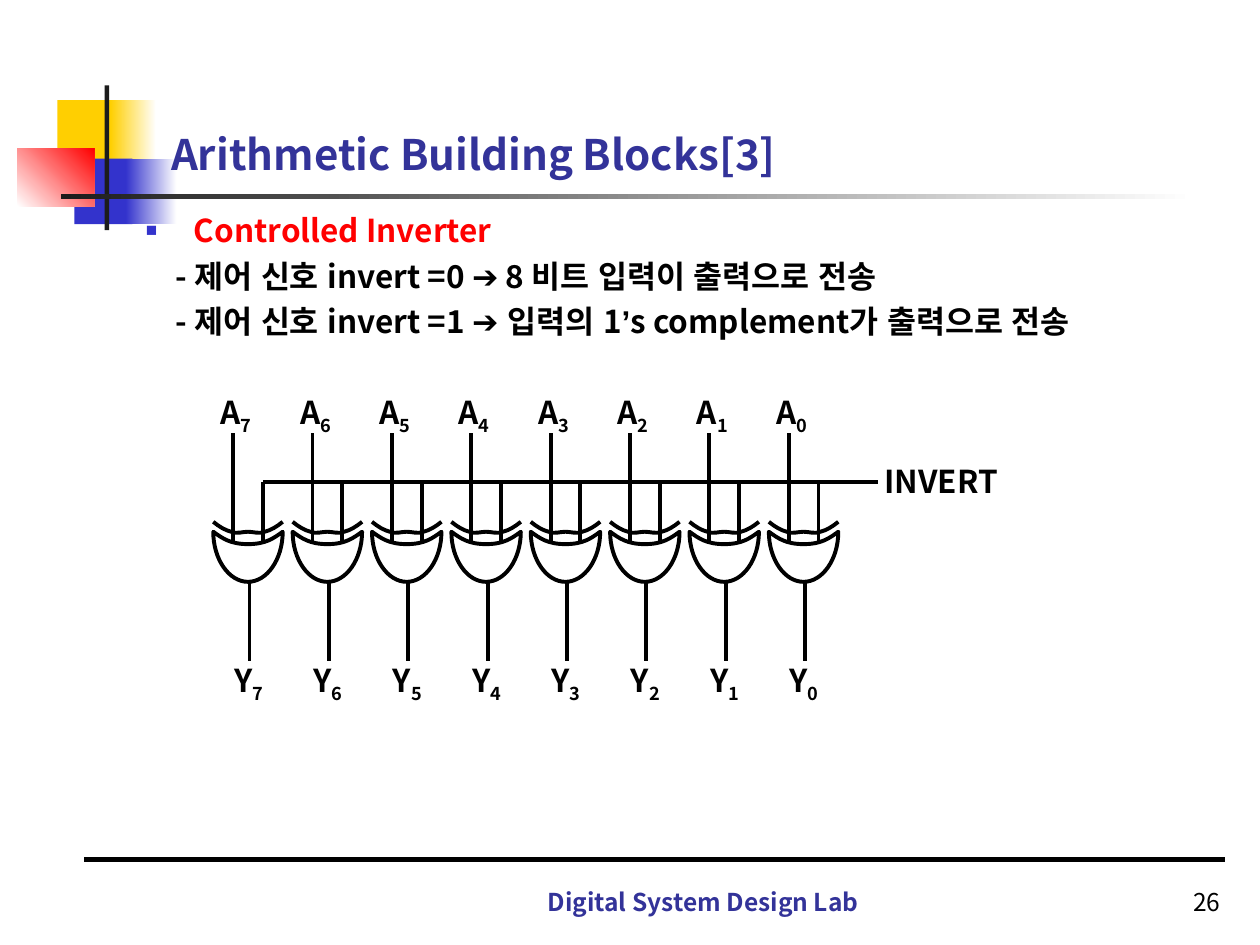
from lxml import etree
from pptx import Presentation
from pptx.dml.color import RGBColor
from pptx.enum.shapes import MSO_CONNECTOR, MSO_SHAPE
from pptx.enum.text import MSO_ANCHOR, PP_ALIGN
from pptx.oxml.ns import qn
from pptx.util import Cm, Pt

LINE, RECT = MSO_CONNECTOR.STRAIGHT, MSO_SHAPE.RECTANGLE
TOP, BOTTOM = MSO_ANCHOR.TOP, MSO_ANCHOR.BOTTOM
LEFT, MID, RIGHT = PP_ALIGN.LEFT, PP_ALIGN.CENTER, PP_ALIGN.RIGHT
FONT, SIGN = "Noto Sans CJK KR", "Arial"
HUES = {
    "gold": "FFCF01", "blue": "3333CC", "red": "FF0000", "dark": "1C1C1C",
    "navy": "333399", "black": "000000", "white": "FFFFFF",
}
BITS, PITCH, AXIS = 8, 1.6, 5
BUS = 9.72
ARC = [
    (0.7, 10.52), (0.58, 10.62), (0.46, 10.69), (0.34, 10.72),
    (0.23, 10.77), (0.11, 10.72), (0, 10.72),
    (-0.11, 10.72), (-0.23, 10.77), (-0.34, 10.72),
    (-0.46, 10.69), (-0.58, 10.62), (-0.7, 10.52),
]
BOWL = [
    (0.7, 10.72), (0.52, 10.85), (0.36, 10.97), (0, 10.97),
    (-0.36, 10.97), (-0.52, 10.85), (-0.7, 10.72),
    (-0.7, 11.28), (-0.38, 11.73), (0, 11.73),
    (0.38, 11.73), (0.7, 11.28), (0.7, 10.72),
]
NOTES = [
    [("- 제어 신호 invert =0 ", FONT), ("➔", SIGN),
     (" 8 비트 입력이 출력으로 전송", FONT)],
    [("- 제어 신호 invert =1 ", FONT), ("➔ ", SIGN), ("입력의 1", FONT),
     ("’", SIGN), ("s complement가 출력으로 전송", FONT)],
]


def hue(name):
    """Return the named colour."""
    return RGBColor.from_string(HUES[name])


def style(para, size, tint="black", bold=True, east=FONT):
    """Set the Latin and East Asian font of a paragraph."""
    font = para.font
    font.size, font.bold, font.name = Pt(size), bold, FONT
    font.color.rgb = hue(tint)
    props = para._p.pPr.find(qn("a:defRPr"))
    etree.SubElement(props, qn("a:ea")).set("typeface", east)


def frame(slide, x, y, wide, high, anchor=TOP, wrap=True):
    """Add a text box and return its text frame."""
    text = slide.shapes.add_textbox(Cm(x), Cm(y), Cm(wide), Cm(high)).text_frame
    text.word_wrap, text.vertical_anchor = wrap, anchor
    return text


def title(slide, text, box, size, align, tint="navy", bold=True):
    """Add one line of text that stands on the bottom of its box."""
    para = frame(slide, *box, anchor=BOTTOM).paragraphs[0]
    para.text, para.alignment = text, align
    style(para, size, tint, bold)


def label(slide, text, x, y, wide=0.66, sub=""):
    """Add a signal name with an optional subscript."""
    area = frame(slide, x, y, wide, 0.86, wrap=False)
    area.margin_left = area.margin_right = 0
    area.margin_top = area.margin_bottom = 0
    para = area.paragraphs[0]
    para.add_run().text = text
    if sub:
        run = para.add_run()
        run.text = sub
        run._r.get_or_add_rPr().set("baseline", "-25000")
    style(para, 18)


def block(slide, x, y, wide, high, *tints, angle=0):
    """Add a bare rectangle, plain or with a gradient of two colours."""
    shape = slide.shapes.add_shape(RECT, Cm(x), Cm(y), Cm(wide), Cm(high))
    shape.shadow.inherit = False
    shape.line.fill.background()
    if len(tints) == 1:
        shape.fill.solid()
        shape.fill.fore_color.rgb = hue(tints[0])
        return
    shape.fill.gradient()
    shape.fill.gradient_angle = angle
    for stop, tint in zip(shape.fill.gradient_stops, tints):
        stop.color.rgb = hue(tint)


def wire(slide, x1, y1, x2, y2, width=2.25):
    """Add a straight black line."""
    line = slide.shapes.add_connector(LINE, Cm(x1), Cm(y1), Cm(x2), Cm(y2))
    line.line.width = Pt(width)
    line.line.color.rgb = hue("black")
    etree.SubElement(line._element.spPr, qn("a:effectLst"))


def bend(shape):
    """Turn each three straight segments of an outline into one cubic curve."""
    segs = list(shape._element.iter(qn("a:lnTo")))
    for i in range(0, len(segs), 3):
        cubic = etree.Element(qn("a:cubicBezTo"))
        segs[i].addprevious(cubic)
        for seg in segs[i:i + 3]:
            cubic.append(seg[0])
            seg.getparent().remove(seg)


def curve(group, knots, mid, closed):
    """Add a curved outline, white inside when closed."""
    spots = [(Cm(mid + x), Cm(y)) for x, y in knots]
    pen = group.shapes.build_freeform(*spots[0])
    pen.add_line_segments(spots[1:], close=closed)
    shape = pen.convert_to_shape()
    bend(shape)
    shape.shadow.inherit = False
    shape.line.width = Pt(2.25)
    shape.line.color.rgb = hue("black")
    if closed:
        shape.fill.solid()
        shape.fill.fore_color.rgb = hue("white")
    else:
        shape.fill.background()


def gate(slide, mid, bit):
    """Add one XOR gate with its wires and signal names."""
    label(slide, "A", mid - 0.55, 7.92, sub=bit)
    label(slide, "Y", mid - 0.28, 13.32, sub=bit)
    wire(slide, mid - 0.3, 8.73, mid - 0.3, 11.12)
    wire(slide, mid + 0.03, 11.73, mid + 0.03, 13.33)
    wire(slide, mid + 0.3, BUS, mid + 0.3, 11.12)
    group = slide.shapes.add_group_shape()
    curve(group, ARC, mid, False)
    curve(group, BOWL, mid, True)


def body(slide):
    """Add the bulleted heading and its two notes."""
    area = frame(slide, 2.69, 4.13, 20.8, 3.4)
    head = area.paragraphs[0]
    head.text = "Controlled Inverter"
    props = head._p.get_or_add_pPr()
    props.set("marL", str(Cm(0.97)))
    props.set("indent", str(-Cm(0.97)))
    tint = etree.SubElement(props, qn("a:buClr"))
    etree.SubElement(tint, qn("a:srgbClr")).set("val", HUES["blue"])
    etree.SubElement(props, qn("a:buSzPct")).set("val", "60000")
    etree.SubElement(props, qn("a:buFont")).set("typeface", SIGN)
    etree.SubElement(props, qn("a:buChar")).set("char", "■")
    style(head, 18, "red")
    for note in NOTES:
        para = area.add_paragraph()
        para.space_before = Pt(4.5)
        para._p.get_or_add_pPr().set("marL", str(Cm(0.6)))
        for text, font in note:
            run = para.add_run()
            run.text = text
            if font != FONT:
                run.font.name = font
        style(para, 18, east=SIGN)


def decor(slide):
    """Add the coloured blocks and rules around the content."""
    block(slide, 1.16, 2.02, 1.22, 1.32, "gold")
    block(slide, 2.23, 2.02, 0.92, 1.32, "gold", "white")
    block(slide, 1.5, 3.2, 1.17, 1.32, "blue")
    block(slide, 2.54, 3.2, 1.02, 1.32, "blue", "white")
    block(slide, 0.35, 2.99, 1.55, 1.17, "white", "red", angle=45)
    block(slide, 2.11, 1.72, 0.09, 2.92, "dark")
    block(slide, 1.23, 3.92, 22.86, 0.09, "dark", "white")
    wire(slide, 1.7, 17.32, 24.7, 17.32, 3)


def main():
    """Build the slide and save it."""
    deck = Presentation()
    deck.slide_width, deck.slide_height = Cm(25.4), Cm(19.05)
    slide = deck.slides.add_slide(deck.slide_layouts[6])
    decor(slide)
    title(slide, "Digital System Design Lab", (10.15, 17.33, 8.05, 1.27), 14, MID)
    title(slide, "26", (19.56, 17.33, 5.29, 1.27), 14, RIGHT, "black", False)
    title(slide, "Arithmetic Building Blocks[3]", (3.2, 1.93, 21.64, 1.8), 24, LEFT)
    body(slide)
    for i in range(BITS):
        gate(slide, AXIS + i * PITCH, str(BITS - 1 - i))
    wire(slide, AXIS + 0.3, BUS, 17.7, BUS)
    label(slide, "INVERT", 17.83, 9.32, 2.31)
    deck.save("out.pptx")


if __name__ == "__main__":
    main()
